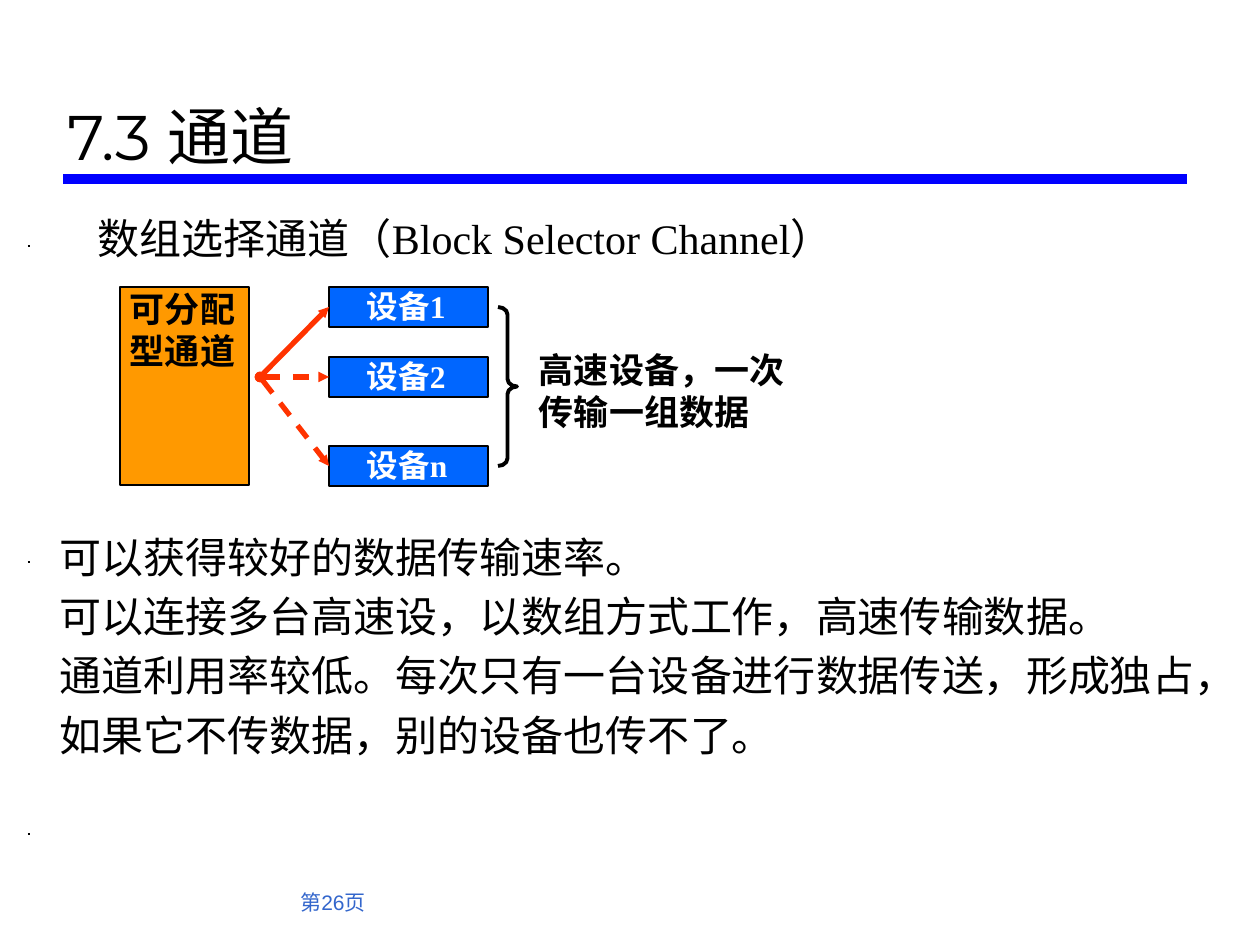
from lxml import etree
from pptx import Presentation
from pptx import util as u
from pptx.dml.color import RGBColor
from pptx.enum import shapes, text
from pptx.oxml.ns import qn

EMU_PER_PX = 914400 / 126
CJK, SERIF = "Noto Sans CJK SC", "Times New Roman"
COLORS = {
    "black": "000000",
    "white": "FFFFFF",
    "rule": "0000FF",
    "page": "3366CC",
    "channel": "FF9900",
    "device": "0066FF",
    "arrow": "FF3300",
}


def px(length):
    return u.Emu(round(length * EMU_PER_PX))


def rgb(name):
    return RGBColor.from_string(COLORS[name])


def set_typeface(font, name):
    """Use one typeface for both Latin and East Asian characters."""
    font.name = name
    east_asian = etree.Element(qn("a:ea"), typeface=name)
    font._element.find(qn("a:latin")).addnext(east_asian)


def write(shape, paragraphs, size, color="black", typeface=CJK, bold=False,
          left=1, first=0, spacing=None, margin=0, anchor="TOP", align="LEFT"):
    """Fill a shape; each paragraph is a list of (text, typeface or None)."""
    frame = shape.text_frame
    frame.word_wrap = True
    frame.vertical_anchor = getattr(text.MSO_ANCHOR, anchor)
    if margin is not None:
        frame.margin_left = frame.margin_right = px(margin)
        frame.margin_top = frame.margin_bottom = px(margin)
    for index, pieces in enumerate(paragraphs):
        paragraph = frame.add_paragraph() if index else frame.paragraphs[0]
        paragraph.alignment = getattr(text.PP_ALIGN, align)
        properties = paragraph._p.get_or_add_pPr()
        properties.set("marL", str(px(left)))
        properties.set("indent", str(px(first)))
        if spacing:
            paragraph.line_spacing = spacing
        paragraph.font.size = u.Pt(size)
        paragraph.font.bold = bold
        paragraph.font.color.rgb = rgb(color)
        for words, face in pieces:
            run = paragraph.add_run()
            run.text = words
            set_typeface(run.font, face or typeface)


def add_text(slide, box, paragraphs, size, **style):
    shape = slide.shapes.add_textbox(*map(px, box))
    write(shape, paragraphs, size, **style)


def add_box(slide, box, fill, pieces, size, **style):
    shape = slide.shapes.add_shape(shapes.MSO_SHAPE.RECTANGLE, *map(px, box))
    shape.shadow.inherit = False
    shape.fill.solid()
    shape.fill.fore_color.rgb = rgb(fill)
    shape.line.color.rgb = rgb("black")
    shape.line.width = u.Pt(1.5)
    write(shape, [pieces], size, bold=True, **style)


def add_line(slide, start, end, color, width):
    line = slide.shapes.add_connector(
        shapes.MSO_CONNECTOR.STRAIGHT, *map(px, start + end))
    line.line.color.rgb = rgb(color)
    line.line.width = u.Pt(width)
    etree.SubElement(line._element.spPr, qn("a:effectLst"))
    return line


def add_arrow(slide, start, end, dashed):
    """Line from a dot to an arrowhead."""
    outline = add_line(slide, start, end, "arrow", 3).line._get_or_add_ln()
    if dashed:
        dashes = etree.SubElement(outline, qn("a:custDash"))
        etree.SubElement(dashes, qn("a:ds"), d="300000", sp="240000")
    for tag, kind in (("a:headEnd", "oval"), ("a:tailEnd", "triangle")):
        etree.SubElement(outline, qn(tag), type=kind, w="sm", len="sm")


def add_brace(slide, box):
    brace = slide.shapes.add_shape(shapes.MSO_SHAPE.RIGHT_BRACE, *map(px, box))
    brace.shadow.inherit = False
    brace.adjustments[0] = 0.4
    brace.fill.background()
    brace.line.color.rgb = rgb("black")
    brace.line.width = u.Pt(2.25)


def add_diagram(slide):
    add_box(slide, (120, 287, 129, 198), "channel",
            [("可分配 型通道", None)], 20, left=10)
    for label, top in (("1", 287), ("2", 357), ("n", 446)):
        add_box(slide, (329, top, 159, 40), "device",
                [("设备", None), (label, SERIF)], 18, color="white", left=38)
        add_arrow(slide, (260, 377), (329, top + 20), dashed=label != "1")
    add_brace(slide, (498, 307, 19, 159))
    add_text(slide, (538, 348, 248, 81),
             [[("高速设备，一次 传输一组数据", None)]], 20, bold=True)


def main():
    presentation = Presentation()
    presentation.slide_width, presentation.slide_height = px(1260), px(945)
    slide = presentation.slides.add_slide(presentation.slide_layouts[6])

    add_line(slide, (63, 179), (1187, 179), "rule", 6)
    add_text(slide, (55, 21, 1130, 158), [[("7.3 通道", None)]], 36,
             typeface="Montserrat", left=0, margin=None, anchor="BOTTOM")
    for y in (246, 562, 834):
        add_line(slide, (28, y), (30, y), "black", 0.96)

    heading = [("数组选择通道（", None), ("Block Selector Channel", SERIF),
               ("）", None)]
    add_text(slide, (72, 186, 844, 67), [heading], 24, first=25, spacing=1.52)
    add_diagram(slide)

    points = (
        "可以获得较好的数据传输速率。",
        "可以连接多台高速设，以数组方式工作，高速传输数据。",
        "通道利用率较低。每次只有一台设备进行数据传送，形成独占，"
        "如果它不传数据，别的设备也传不了。",
    )
    add_text(slide, (59, 522, 1176, 241),
             [[(point, None)] for point in points], 24, spacing=1.18)
    add_text(slide, (59, 858, 319, 63), [[("第26页", None)]], 12,
             color="page", typeface="Arial", left=0, margin=None,
             anchor="BOTTOM", align="RIGHT")
    presentation.save("out.pptx")


if __name__ == "__main__":
    main()
